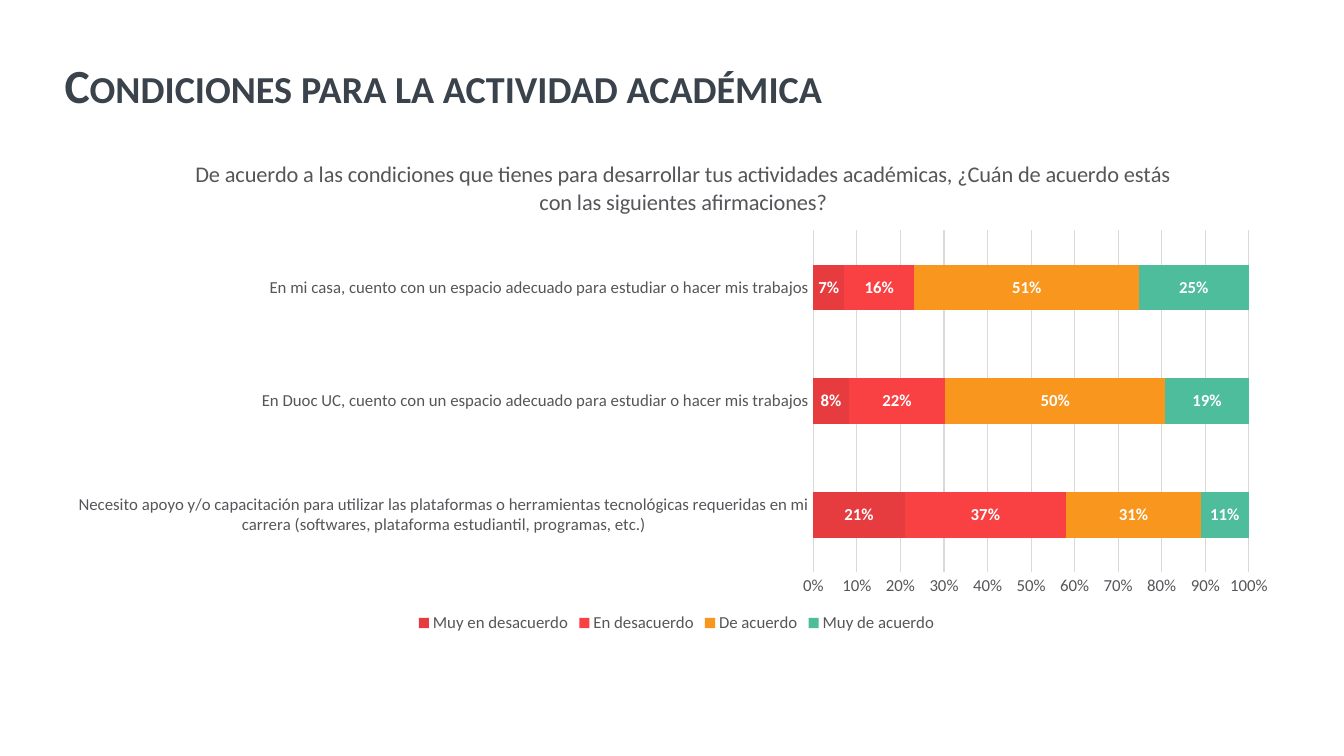
"""Build a slide with a stacked survey chart on conditions for academic activity."""
from dataclasses import dataclass

from lxml.etree import SubElement
from pptx import Presentation
from pptx.chart.chart import Chart
from pptx.chart.data import CategoryChartData
from pptx.dml.color import RGBColor
from pptx.enum.chart import XL_CHART_TYPE, XL_LABEL_POSITION, XL_LEGEND_POSITION, XL_TICK_MARK
from pptx.enum.text import MSO_ANCHOR, MSO_AUTO_SIZE, PP_ALIGN
from pptx.oxml.ns import qn
from pptx.oxml.xmlchemy import BaseOxmlElement
from pptx.slide import Slide
from pptx.text.text import Font
from pptx.util import Inches, Pt

COLORS = {"title": "3A434C", "text": "56565A", "grid": "D9D9D9", "label": "FFFFFF",
          "strong_no": "E63C3F", "no": "F94144", "yes": "F8961E", "strong_yes": "4DBD9B"}
QUESTION = ("De acuerdo a las condiciones que tienes para desarrollar tus actividades académicas, "
            "¿Cuán de acuerdo estás con las siguientes afirmaciones?")
STATEMENTS = [
    "Necesito apoyo y/o capacitación para utilizar las plataformas o herramientas tecnológicas "
    "requeridas en mi carrera (softwares, plataforma estudiantil, programas, etc.)",
    "En Duoc UC, cuento con un espacio adecuado para estudiar o hacer mis trabajos",
    "En mi casa, cuento con un espacio adecuado para estudiar o hacer mis trabajos",
]


@dataclass
class Answer:
    """One answer option with its share for each statement."""
    name: str
    color: str
    shares: tuple[float, ...]


ANSWERS = [
    Answer("Muy en desacuerdo", "strong_no", (0.21, 0.08, 0.07)),
    Answer("En desacuerdo", "no", (0.37, 0.22, 0.16)),
    Answer("De acuerdo", "yes", (0.31, 0.5, 0.51)),
    Answer("Muy de acuerdo", "strong_yes", (0.11, 0.19, 0.25)),
]


def set_all(target: object, values: dict[str, object]) -> None:
    """Set each named attribute on the target."""
    for name, value in values.items():
        setattr(target, name, value)


def rgb(color: str) -> RGBColor:
    """Look up a colour by its name."""
    return RGBColor.from_string(COLORS[color])


def set_font(font: Font, size: float, color: str, bold: bool = False) -> None:
    """Format a font."""
    set_all(font, {"name": "Calibri", "size": Pt(size), "bold": bold})
    font.color.rgb = rgb(color)


def set_layout(part: BaseOxmlElement, index: int, places: dict[str, float],
               inner: bool = False) -> None:
    """Place a chart part at fractions of the chart area."""
    layout = part.find(qn("c:layout"))
    if layout is None:
        layout = SubElement(part, qn("c:layout"))
        part.insert(index, layout)
    manual = SubElement(layout, qn("c:manualLayout"))
    if inner:
        SubElement(manual, qn("c:layoutTarget")).set("val", "inner")
    for mode in ("xMode", "yMode"):
        SubElement(manual, qn(f"c:{mode}")).set("val", "edge")
    for name, value in places.items():
        SubElement(manual, qn(f"c:{name}")).set("val", str(value))


def add_title(s: Slide) -> None:
    """Fill and format the title placeholder."""
    sp = s.shapes.title
    set_all(sp, {"left": Inches(0.54), "top": Inches(0.4),
                 "width": Inches(12.73), "height": Inches(0.94)})
    tf = sp.text_frame
    set_all(tf, {"vertical_anchor": MSO_ANCHOR.MIDDLE, "word_wrap": True,
                 "auto_size": MSO_AUTO_SIZE.NONE})
    p = tf.paragraphs[0]
    set_all(p, {"alignment": PP_ALIGN.LEFT, "line_spacing": 0.9})
    r = p.add_run()
    r.text = "Condiciones para la actividad académica"
    set_font(r.font, 34, "title", True)
    r.font._element.set("cap", "small")


def format_axes(chart: Chart) -> None:
    """Format both axes and the gridlines."""
    cat, val = chart.category_axis, chart.value_axis
    for axis in (cat, val):
        set_all(axis, {"major_tick_mark": XL_TICK_MARK.NONE,
                       "minor_tick_mark": XL_TICK_MARK.NONE})
        set_font(axis.tick_labels.font, 12, "text")
    set_all(val, {"minimum_scale": 0, "maximum_scale": 1, "major_unit": 0.1,
                  "has_major_gridlines": True})
    set_all(val.tick_labels, {"number_format": "0%", "number_format_is_linked": False})
    val.format.line.fill.background()
    for line in (cat.format.line, val.major_gridlines.format.line):
        line.color.rgb = rgb("grid")
        line.width = Pt(0.75)


def add_survey_chart(s: Slide) -> None:
    """Add the stacked bar chart of the answers."""
    data = CategoryChartData(number_format="0%")
    data.categories = STATEMENTS
    for answer in ANSWERS:
        data.add_series(answer.name, answer.shares)
    chart = s.shapes.add_chart(XL_CHART_TYPE.BAR_STACKED_100, Inches(0.54), Inches(1.34),
                               Inches(12.34), Inches(4.98), data).chart
    set_font(chart.font, 12, "text")
    set_all(chart, {"has_title": True, "has_legend": True})
    p = chart.chart_title.text_frame.paragraphs[0]
    r = p.add_run()
    r.text = QUESTION
    set_font(r.font, 16, "text")
    set_all(chart.legend, {"position": XL_LEGEND_POSITION.BOTTOM, "include_in_layout": False})
    set_font(chart.legend.font, 12, "text")
    format_axes(chart)
    set_layout(chart.chart_title._element, 1, {"x": 0.11, "y": 0.04})
    set_layout(chart._chartSpace.chart.plotArea, 0,
               {"x": 0.61, "y": 0.19, "w": 0.35, "h": 0.68}, True)

    plot = chart.plots[0]
    set_all(plot, {"gap_width": 150, "overlap": 100, "vary_by_categories": False})
    for series, answer in zip(plot.series, ANSWERS):
        series.format.fill.solid()
        series.format.fill.fore_color.rgb = rgb(answer.color)
        labels = series.data_labels
        set_all(labels, {"show_value": True, "position": XL_LABEL_POSITION.CENTER,
                         "number_format": "0%", "number_format_is_linked": False})
        set_font(labels.font, 12, "label", True)


def main() -> None:
    """Build and save the presentation."""
    prs = Presentation()
    set_all(prs, {"slide_width": Inches(13.33), "slide_height": Inches(7.5)})
    s = prs.slides.add_slide(prs.slide_layouts[5])
    add_survey_chart(s)
    add_title(s)
    prs.save("out.pptx")


if __name__ == "__main__":
    main()
